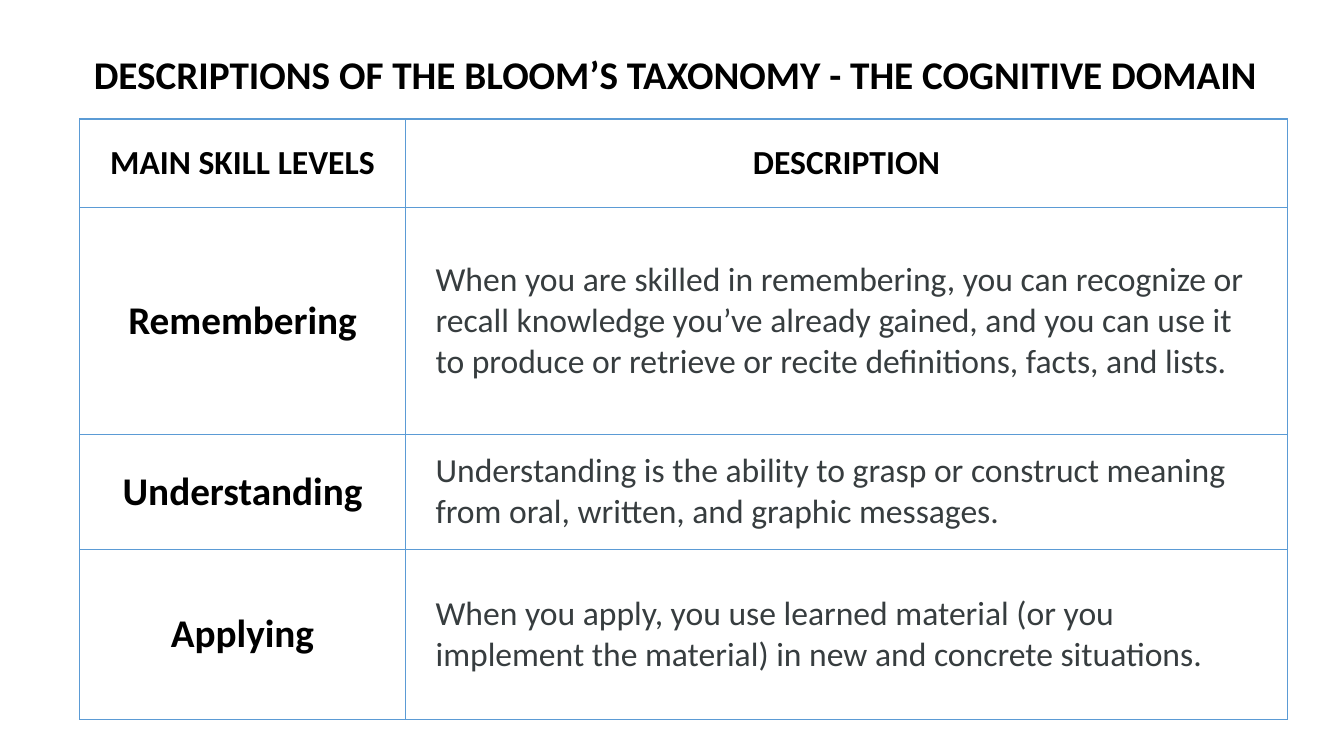
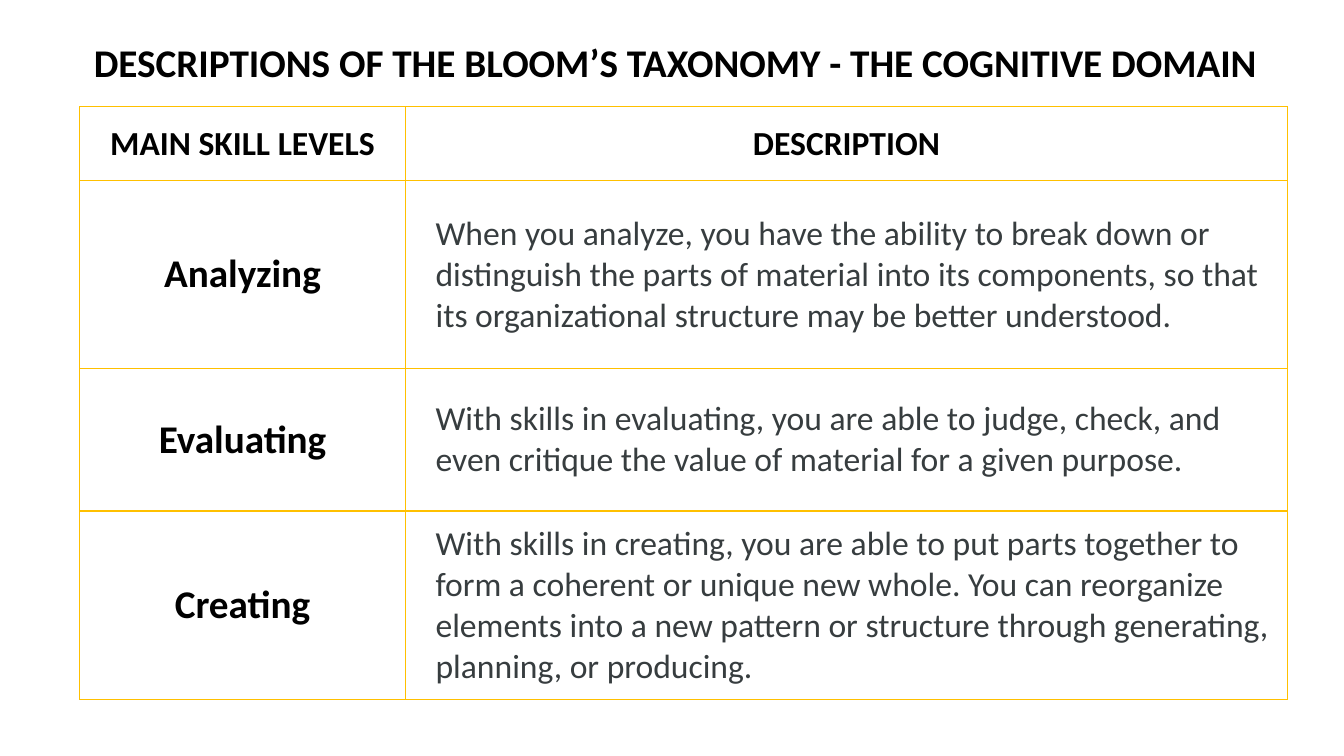
import pptx
import pptx.dml.color
import pptx.enum.text
import pptx.oxml
import pptx.oxml.ns
import pptx.util
from lxml import etree

Inches = pptx.util.Inches
RGBColor = pptx.dml.color.RGBColor
ALIGN = pptx.enum.text.PP_ALIGN
ANCHOR = pptx.enum.text.MSO_ANCHOR

# Shared style
FONT = "Calibri"
BLACK = RGBColor(0x00, 0x00, 0x00)
SLATE = RGBColor(0x37, 0x3D, 0x3F)
BLUE = RGBColor(0x5B, 0x9B, 0xD5)
GOLD = RGBColor(0xFF, 0xC0, 0x00)
BORDER_PT = 1

# Shared layout, in inches
TITLE_LEFT, TITLE_WIDTH, TITLE_HEIGHT = 0.83, 11.9, 0.57
TABLE_LEFT, COL_WIDTHS = 0.79, (3.23, 8.75)
TITLE_TO_TABLE = 0.73
PAD_X, PAD_Y, TEXT_INDENT = 0.02, 0.01, 0.3

TITLE = "DESCRIPTIONS OF THE BLOOM’S TAXONOMY - THE COGNITIVE DOMAIN"
HEADER = ("MAIN SKILL LEVELS", "DESCRIPTION")

# One entry per slide; each row is (skill, description)
SLIDES = [
    dict(
        table_top=1.18, color=BLUE, right_pad=0.2,
        heights=(0.88, 2.25, 1.14, 1.69),
        rows=[
            ("Remembering",
             "When you are skilled in remembering, you can recognize or recall "
             "knowledge you’ve already gained, and you can use it to produce or "
             "retrieve or recite definitions, facts, and lists."),
            ("Understanding",
             "Understanding is the ability to grasp or construct meaning from "
             "oral, written, and graphic messages."),
            ("Applying",
             "When you apply, you use learned material (or you implement the "
             "material) in new and concrete situations."),
        ],
    ),
    dict(
        table_top=1.06, color=GOLD, right_pad=PAD_X,
        heights=(0.73, 1.87, 1.41, 1.87),
        rows=[
            ("Analyzing",
             "When you analyze, you have the ability to break down or "
             "distinguish the parts of material into its components, so that "
             "its organizational structure may be better understood."),
            ("Evaluating",
             "With skills in evaluating, you are able to judge, check, and even "
             "critique the value of material for a given purpose."),
            ("Creating",
             "With skills in creating, you are able to put parts together to "
             "form a coherent or unique new whole. You can reorganize elements "
             "into a new pattern or structure through generating, planning, or "
             "producing."),
        ],
    ),
]


def write_text(tf, text, size=24, color=BLACK, bold=True, align=ALIGN.CENTER):
    tf.word_wrap = True
    p = tf.paragraphs[0]
    p.alignment = align
    r = p.add_run()
    r.text = text
    r.font.name = FONT
    r.font.size = pptx.util.Pt(size)
    r.font.bold = bold
    r.font.color.rgb = color


def set_borders(cell, color):
    """Draw all four cell edges; they must precede the cell's fill."""
    tc_pr = cell._tc.get_or_add_tcPr()
    qn = pptx.oxml.ns.qn
    for i, edge in enumerate(("a:lnL", "a:lnR", "a:lnT", "a:lnB")):
        ln = etree.Element(qn(edge), w=str(pptx.util.Pt(BORDER_PT)))
        fill = etree.SubElement(ln, qn("a:solidFill"))
        etree.SubElement(fill, qn("a:srgbClr"), val=str(color))
        tc_pr.insert(i, ln)


def fill_cell(cell, text, border, left=PAD_X, right=PAD_X, **text_format):
    cell.fill.background()
    set_borders(cell, border)
    cell.vertical_anchor = ANCHOR.MIDDLE
    cell.margin_left, cell.margin_right = Inches(left), Inches(right)
    cell.margin_top = cell.margin_bottom = Inches(PAD_Y)
    write_text(cell.text_frame, text, **text_format)


def add_title(slide, left, top, width, height):
    sp = slide.shapes.title
    sp.left, sp.top = Inches(left), Inches(top)
    sp.width, sp.height = Inches(width), Inches(height)
    tf = sp.text_frame
    tf.auto_size = pptx.enum.text.MSO_AUTO_SIZE.NONE
    tf.vertical_anchor = ANCHOR.TOP
    write_text(tf, TITLE, size=28, align=ALIGN.LEFT)


def add_skill_table(slide, left, top, heights, rows, color, right_pad):
    frame = slide.shapes.add_table(
        len(rows) + 1, len(COL_WIDTHS), Inches(left), Inches(top),
        Inches(sum(COL_WIDTHS)), Inches(sum(heights)))
    table = frame.table
    table.first_row = table.horz_banding = False
    for column, width in zip(table.columns, COL_WIDTHS):
        column.width = Inches(width)
    for row, height in zip(table.rows, heights):
        row.height = Inches(height)

    # Header row
    for col, label in enumerate(HEADER):
        fill_cell(table.cell(0, col), label, color)

    # Skill rows
    for i, (skill, description) in enumerate(rows, start=1):
        fill_cell(table.cell(i, 0), skill, color, size=28)
        fill_cell(table.cell(i, 1), description, color, left=TEXT_INDENT,
                  right=right_pad, color=SLATE, bold=False, align=ALIGN.LEFT)


def add_skill_slide(prs, table_top, **table_options):
    slide = prs.slides.add_slide(prs.slide_layouts.get_by_name("Title Only"))
    add_title(slide, TITLE_LEFT, table_top - TITLE_TO_TABLE,
              TITLE_WIDTH, TITLE_HEIGHT)
    add_skill_table(slide, TABLE_LEFT, table_top, **table_options)


def main():
    prs = pptx.Presentation()
    prs.slide_width, prs.slide_height = Inches(13.33), Inches(7.5)
    for content in SLIDES:
        add_skill_slide(prs, **content)
    prs.save("out.pptx")


if __name__ == "__main__":
    main()
